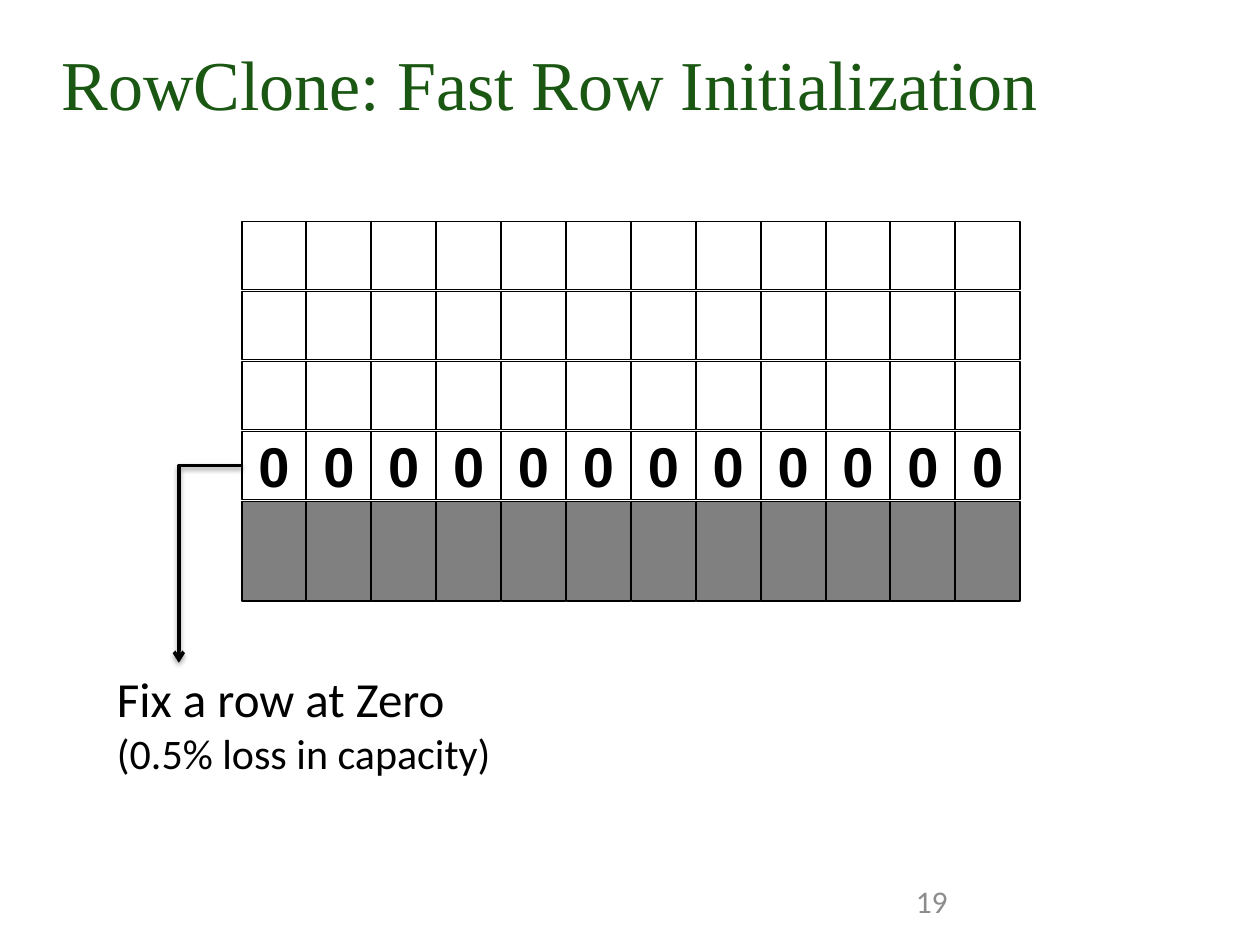
from lxml import etree
from pptx import Presentation
from pptx.dml.color import RGBColor
from pptx.enum.shapes import MSO_CONNECTOR, MSO_SHAPE
from pptx.enum.text import MSO_ANCHOR, MSO_AUTO_SIZE, PP_ALIGN
from pptx.oxml import parse_xml
from pptx.oxml.ns import qn
from pptx.util import Inches, Pt

BLACK = RGBColor(0, 0, 0)
WHITE = RGBColor(255, 255, 255)
GREEN = RGBColor(0x1A, 0x57, 0x12)
ROW_GRAY = RGBColor(0x80, 0x80, 0x80)
NUMBER_GRAY = RGBColor(0x8C, 0x8C, 0x8C)

# Content
TITLE = "RowClone: Fast Row Initialization"
COLUMNS = 12
ROWS = [  # cell text, fill, height
    ("", WHITE, 0.54),
    ("", WHITE, 0.54),
    ("", WHITE, 0.54),
    ("0", WHITE, 0.54),
    ("", ROW_GRAY, 0.79),
]
ZERO_ROW = 3
CAPTION = [("Fix a row at Zero", 28), ("(0.5% loss in capacity)", 24)]
PAGE_NUMBER = "19"

# Memory grid and callout measures
GRID_LEFT, GRID_TOP = 1.92, 1.76
COLUMN_STEP, ROW_STEP, CELL_WIDTH = 0.515, 0.555, 0.51
ARROW_X, CAPTION_TOP = 1.42, 5.26

SHADOW = (
    '<a:effectLst xmlns:a="http://schemas.openxmlformats.org/drawingml/2006/main">'
    '<a:outerShdw blurRad="39370" dist="20320" dir="5400000" rotWithShape="0">'
    '<a:srgbClr val="000000"><a:alpha val="38000"/></a:srgbClr>'
    '</a:outerShdw></a:effectLst>'
)


def add_run(paragraph, text, size, font, color, bold=False):
    run = paragraph.add_run()
    run.text = text
    run.font.size = Pt(size)
    run.font.name = font
    run.font.bold = bold
    run.font.color.rgb = color


def add_cell(slide, row, column):
    text, fill, height = ROWS[row]
    cell = slide.shapes.add_shape(
        MSO_SHAPE.RECTANGLE,
        Inches(GRID_LEFT + column * COLUMN_STEP), Inches(GRID_TOP + row * ROW_STEP),
        Inches(CELL_WIDTH), Inches(height))
    cell.shadow.inherit = False
    cell.fill.solid()
    cell.fill.fore_color.rgb = fill
    cell.line.color.rgb = BLACK
    cell.line.width = Pt(0.75)
    if text:
        cell.text_frame.vertical_anchor = MSO_ANCHOR.MIDDLE
        paragraph = cell.text_frame.paragraphs[0]
        paragraph.alignment = PP_ALIGN.CENTER
        add_run(paragraph, text, 32, "Arial", BLACK, bold=True)


def main():
    prs = Presentation()
    prs.slide_width, prs.slide_height = Inches(10), Inches(7.5)
    slide = prs.slides.add_slide(prs.slide_layouts[5])

    # Title
    title = slide.shapes.title
    title.left, title.top = Inches(0.46), Inches(0.22)
    title.width, title.height = Inches(8.83), Inches(0.61)
    frame = title.text_frame
    frame.auto_size = MSO_AUTO_SIZE.NONE
    frame.vertical_anchor = MSO_ANCHOR.TOP
    frame.margin_left = frame.margin_right = frame.margin_bottom = Inches(0.03)
    frame.margin_top = Inches(0.1)
    frame.paragraphs[0].alignment = PP_ALIGN.LEFT
    add_run(frame.paragraphs[0], TITLE, 40, "Times New Roman", GREEN)

    # Memory grid
    for row in range(len(ROWS)):
        for column in range(COLUMNS):
            add_cell(slide, row, column)

    # Caption
    caption = slide.shapes.add_textbox(
        Inches(0.83), Inches(CAPTION_TOP), Inches(3.19), Inches(0.98)).text_frame
    caption.word_wrap = False
    caption.auto_size = MSO_AUTO_SIZE.SHAPE_TO_FIT_TEXT
    for index, (text, size) in enumerate(CAPTION):
        paragraph = caption.add_paragraph() if index else caption.paragraphs[0]
        add_run(paragraph, text, size, "Calibri", BLACK)

    # Single-bend arrow from the zero row down to the caption
    zero_row_middle = GRID_TOP + ZERO_ROW * ROW_STEP + ROWS[ZERO_ROW][2] / 2
    arrow = slide.shapes.add_connector(
        MSO_CONNECTOR.ELBOW, Inches(GRID_LEFT), Inches(zero_row_middle),
        Inches(ARROW_X), Inches(CAPTION_TOP))
    arrow.line.color.rgb = BLACK
    arrow.line.width = Pt(2)
    properties = arrow._element.spPr
    properties.find(qn("a:prstGeom")).set("prst", "bentConnector2")
    etree.SubElement(properties.find(qn("a:ln")), qn("a:tailEnd"), type="arrow")
    properties.append(parse_xml(SHADOW))

    # Page number
    number = slide.shapes.add_textbox(
        Inches(7.17), Inches(6.95), Inches(2.33), Inches(0.4)).text_frame
    number.word_wrap = True
    add_run(number.paragraphs[0], PAGE_NUMBER, 18, "Calibri", NUMBER_GRAY)

    prs.save("out.pptx")


if __name__ == "__main__":
    main()
